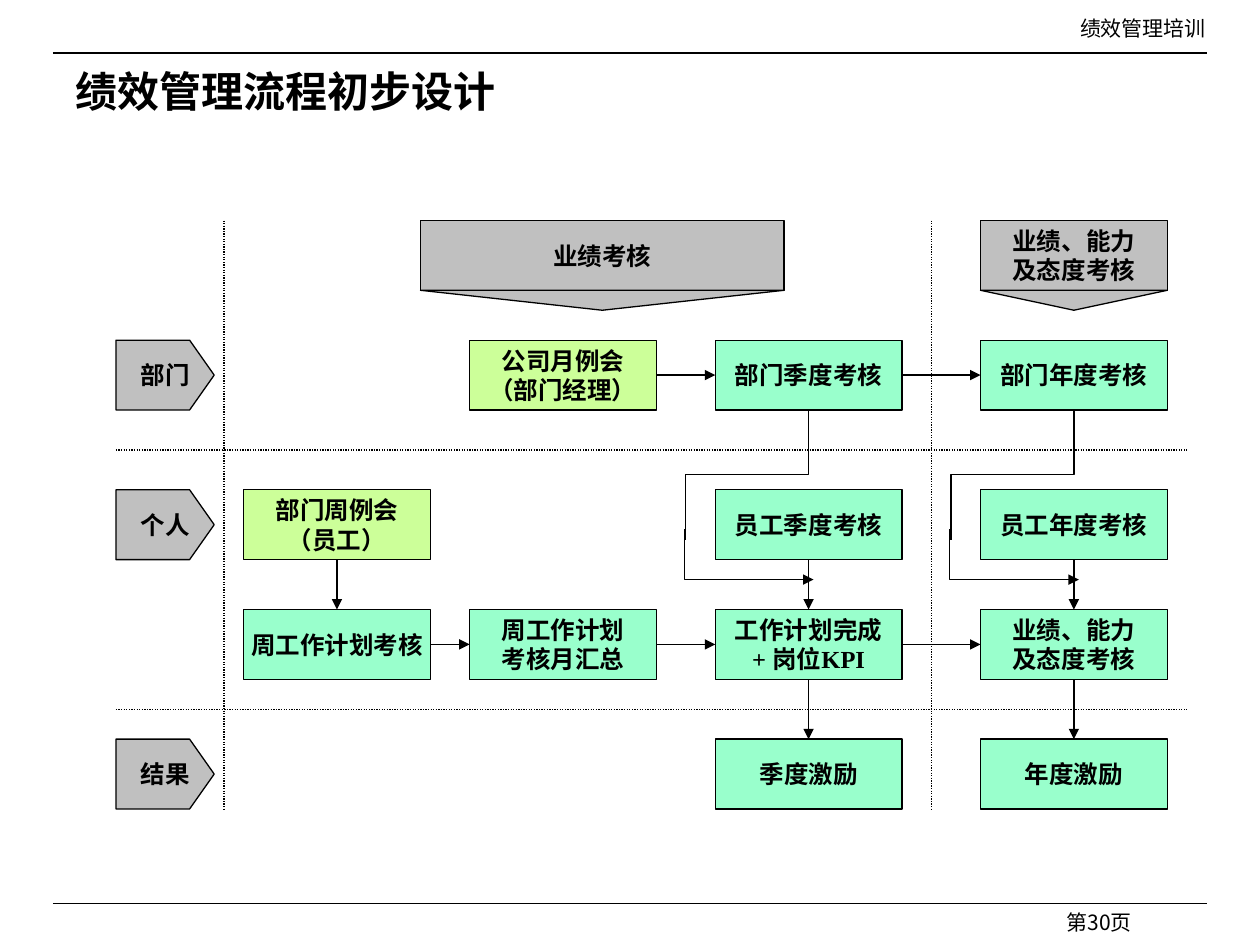
from dataclasses import dataclass

from lxml import etree
from pptx import Presentation
from pptx.dml.color import RGBColor
from pptx.enum.dml import MSO_LINE
from pptx.enum.shapes import MSO_CONNECTOR, MSO_SHAPE
from pptx.enum.text import MSO_ANCHOR, PP_ALIGN
from pptx.oxml.ns import qn
from pptx.util import Inches, Pt

RECTANGLE, MERGE = MSO_SHAPE.RECTANGLE, MSO_SHAPE.FLOWCHART_MERGE
STRAIGHT, ELBOW = MSO_CONNECTOR.STRAIGHT, MSO_CONNECTOR.ELBOW
LEFT, CENTER, RIGHT = PP_ALIGN.LEFT, PP_ALIGN.CENTER, PP_ALIGN.RIGHT
TOP, MIDDLE = MSO_ANCHOR.TOP, MSO_ANCHOR.MIDDLE
DOTTED = MSO_LINE.ROUND_DOT


@dataclass(frozen=True)
class Theme:
    ink: RGBColor = RGBColor(0x00, 0x00, 0x00)
    gray: RGBColor = RGBColor(0xC0, 0xC0, 0xC0)
    lime: RGBColor = RGBColor(0xCC, 0xFF, 0x99)
    mint: RGBColor = RGBColor(0x99, 0xFF, 0xCC)
    latin: str = "Times New Roman"
    asian: str = "Noto Sans CJK SC"
    title_size: int = 24
    box_size: int = 14
    note_size: int = 12
    line_width: float = 0.75


@dataclass(frozen=True)
class Step:
    column: float
    row: float
    lines: tuple[str, ...]
    fill: RGBColor
    columns: float = 19


@dataclass(frozen=True)
class Caption:
    left: float
    top: float
    width: float
    height: float
    text: str
    size: int
    font: str
    bold: bool = False
    align: PP_ALIGN = RIGHT
    anchor: MSO_ANCHOR = TOP


THEME = Theme()
PAGE_WIDTH, PAGE_HEIGHT = Inches(10), Inches(7.5)

# Flow grid: 109 narrow columns, 29.5 rows
GRID_LEFT, GRID_TOP = Inches(0.92), Inches(1.75)
COLUMN, ROW = Inches(8.5) / 109, Inches(0.95) / 6
COLUMNS, ROWS = 109, 29.5
BOX_COLUMNS, BOX_ROWS = 19, 3.5
WEEK, MONTH, QUARTER, YEAR = 13, 36, 61, 88
HEADING, DEPARTMENT, PERSON, PLAN, RESULT = 0, 6, 13.5, 19.5, 26

HEADINGS = (
    Step(31, HEADING, ("业绩考核",), THEME.gray, 37),
    Step(YEAR, HEADING, ("业绩、能力", "及态度考核"), THEME.gray),
)
STEPS = (
    Step(MONTH, DEPARTMENT, ("公司月例会", "（部门经理）"), THEME.lime),
    Step(QUARTER, DEPARTMENT, ("部门季度考核",), THEME.mint),
    Step(YEAR, DEPARTMENT, ("部门年度考核",), THEME.mint),
    Step(WEEK, PERSON, ("部门周例会", "（员工）"), THEME.lime),
    Step(QUARTER, PERSON, ("员工季度考核",), THEME.mint),
    Step(YEAR, PERSON, ("员工年度考核",), THEME.mint),
    Step(WEEK, PLAN, ("周工作计划考核",), THEME.mint),
    Step(MONTH, PLAN, ("周工作计划", "考核月汇总"), THEME.mint),
    Step(QUARTER, PLAN, ("工作计划完成", "+ 岗位KPI"), THEME.mint),
    Step(YEAR, PLAN, ("业绩、能力", "及态度考核"), THEME.mint),
    Step(QUARTER, RESULT, ("季度激励",), THEME.mint),
    Step(YEAR, RESULT, ("年度激励",), THEME.mint),
)
LANES = ((DEPARTMENT, "部门"), (PERSON, "个人"), (RESULT, "结果"))
ACROSS = ((MONTH, QUARTER, DEPARTMENT), (QUARTER, YEAR, DEPARTMENT),
          (WEEK, MONTH, PLAN), (MONTH, QUARTER, PLAN), (QUARTER, YEAR, PLAN))
DOWN = ((WEEK, PERSON, PLAN), (QUARTER, PERSON, PLAN), (QUARTER, PLAN, RESULT),
        (YEAR, PERSON, PLAN), (YEAR, PLAN, RESULT))
CAPTIONS = (
    Caption(0.5, 0.01, 0.467, 0.04, "绩效管理培训", THEME.note_size, THEME.latin),
    Caption(0.7, 0.956, 0.208, 0.023, "第30页", THEME.note_size, THEME.asian),
    Caption(0.05, 0.063, 0.892, 0.067, "绩效管理流程初步设计", THEME.title_size,
            THEME.latin, True, LEFT, MIDDLE),
)


def x_at(column: float) -> int:
    return round(GRID_LEFT + column * COLUMN)


def y_at(row: float) -> int:
    return round(GRID_TOP + row * ROW)


def write(shape, lines: tuple[str, ...], size: int, font: str = THEME.latin,
          bold: bool = True, align: PP_ALIGN = CENTER,
          anchor: MSO_ANCHOR = MIDDLE, wrap: bool = False) -> None:
    frame = shape.text_frame
    frame.word_wrap, frame.vertical_anchor = wrap, anchor
    for index, line in enumerate(lines):
        para = frame.add_paragraph() if index else frame.paragraphs[0]
        para.alignment = align
        span = para.add_run()
        span.text = line
        span.font.name, span.font.size, span.font.bold = font, Pt(size), bold
        span.font.color.rgb = THEME.ink
        etree.SubElement(span.font._element, qn("a:ea"), typeface=THEME.asian)


def paint(shape, fill: RGBColor) -> None:
    shape.shadow.inherit = False
    shape.fill.solid()
    shape.fill.fore_color.rgb = fill
    shape.line.color.rgb = THEME.ink
    shape.line.width = Pt(THEME.line_width)


def draw_caption(page, caption: Caption) -> None:
    box = page.shapes.add_textbox(
        round(caption.left * PAGE_WIDTH), round(caption.top * PAGE_HEIGHT),
        round(caption.width * PAGE_WIDTH), round(caption.height * PAGE_HEIGHT))
    write(box, (caption.text,), caption.size, caption.font, caption.bold,
          caption.align, caption.anchor, True)


def draw_block(page, kind: MSO_SHAPE, step: Step, row: float, rows: float):
    block = page.shapes.add_shape(kind, x_at(step.column), y_at(row),
                                  round(step.columns * COLUMN), round(rows * ROW))
    paint(block, step.fill)
    return block


def draw_step(page, step: Step) -> None:
    box = draw_block(page, RECTANGLE, step, step.row, BOX_ROWS)
    write(box, step.lines, THEME.box_size)


def draw_lane(page, row: float, name: str) -> None:
    outline = ((7.5, 0), (10, BOX_ROWS / 2), (7.5, BOX_ROWS), (0, BOX_ROWS))
    builder = page.shapes.build_freeform(x_at(0), y_at(row))
    builder.add_line_segments([(x_at(c), y_at(row + r)) for c, r in outline])
    tag = builder.convert_to_shape()
    paint(tag, THEME.gray)
    write(tag, (name,), THEME.box_size)


def draw_line(page, start: tuple[int, int], end: tuple[int, int],
              kind: MSO_CONNECTOR = STRAIGHT, dotted: bool = False, arrow: bool = False):
    line = page.shapes.add_connector(kind, *start, *end)
    line.line.color.rgb = THEME.ink
    line.line.width = Pt(THEME.line_width)
    if dotted:
        line.line.dash_style = DOTTED
    properties = line._element.spPr
    if arrow:
        etree.SubElement(properties.find(qn("a:ln")), qn("a:tailEnd"), type="triangle")
    etree.SubElement(properties, qn("a:effectLst"))
    return line


def draw_detour(page, column: float) -> None:
    """Lead from a department review around the staff review to the plan below."""
    center, side = x_at(column + BOX_COLUMNS / 2), x_at(column - 3)
    top, bottom = y_at(DEPARTMENT + BOX_ROWS), y_at(16)
    # A quarter turn makes the elbow leave downwards, so its sides are swapped
    middle_x, middle_y = (center + side) // 2, (top + bottom) // 2
    half_long, half_short = (bottom - top) // 2, (center - side) // 2
    upper = draw_line(page, (middle_x - half_long, middle_y - half_short),
                      (middle_x + half_long, middle_y + half_short), ELBOW)
    upper._element.spPr.find(qn("a:xfrm")).set("rot", "5400000")
    lower = draw_line(page, (side, y_at(15.5)), (x_at(column + 10), y_at(18)),
                      ELBOW, arrow=True)
    guides = lower._element.spPr.find(qn("a:prstGeom")).get_or_add_avLst()
    etree.SubElement(guides, qn("a:gd"), name="adj1", fmla="val -1300")


def main() -> None:
    deck = Presentation()
    deck.slide_width, deck.slide_height = PAGE_WIDTH, PAGE_HEIGHT
    page = deck.slides.add_slide(deck.slide_layouts[6])

    # Page frame and captions
    for share in (0.056, 0.956):
        y = round(share * PAGE_HEIGHT)
        draw_line(page, (round(0.042 * PAGE_WIDTH), y), (round(0.958 * PAGE_WIDTH), y))
    for caption in CAPTIONS:
        draw_caption(page, caption)

    # Lane dividers
    for row in (11.5, 24.5):
        draw_line(page, (x_at(0), y_at(row)), (x_at(COLUMNS), y_at(row)), dotted=True)
    for column in (11, 83):
        draw_line(page, (x_at(column), y_at(0)), (x_at(column), y_at(ROWS)), dotted=True)

    # Boxes, headings and lane tags
    for step in HEADINGS + STEPS:
        draw_step(page, step)
    for heading in HEADINGS:
        draw_block(page, MERGE, heading, BOX_ROWS, 1)
    for row, name in LANES:
        draw_lane(page, row, name)

    # Arrows
    for first, second, row in ACROSS:
        y = y_at(row + BOX_ROWS / 2)
        draw_line(page, (x_at(first + BOX_COLUMNS), y), (x_at(second), y), arrow=True)
    for column, first, second in DOWN:
        x = x_at(column + BOX_COLUMNS / 2)
        draw_line(page, (x, y_at(first + BOX_ROWS)), (x, y_at(second)), arrow=True)
    for column in (QUARTER, YEAR):
        draw_detour(page, column)

    deck.save("out.pptx")


if __name__ == "__main__":
    main()
